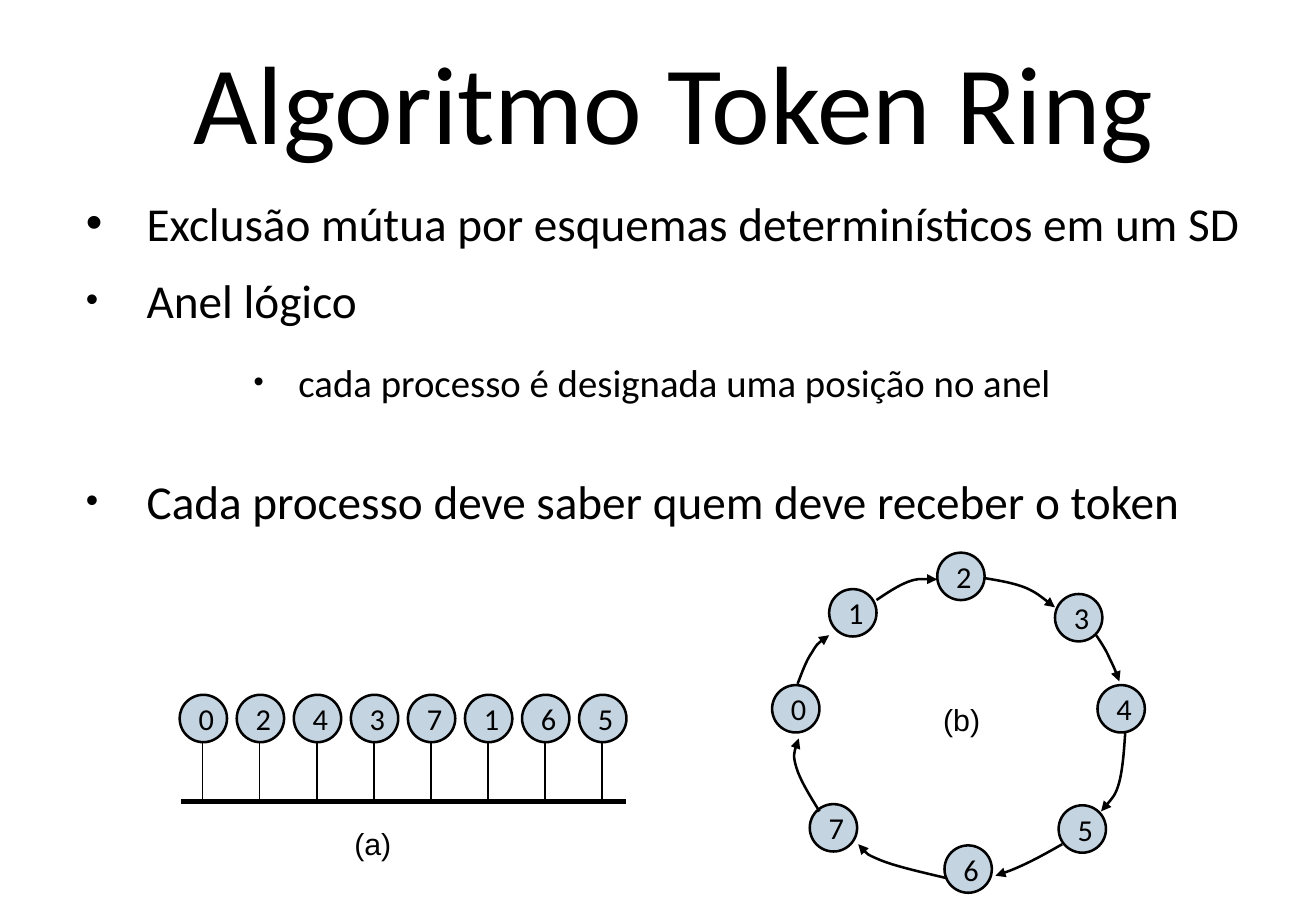
from lxml.etree import SubElement
from pptx import Presentation
from pptx.dml.color import RGBColor
from pptx.enum.shapes import MSO_CONNECTOR, MSO_SHAPE
from pptx.enum.text import MSO_ANCHOR, PP_ALIGN
from pptx.oxml.ns import qn
from pptx.util import Inches, Pt

COLORS = {"ink": "000000", "node": "C5D4E1"}
NODE_SIZE = 0.39
BUS_ORDER = "02437165"
BUS_LEFT, BUS_TOP, BUS_PITCH = 1.48, 5.72, 0.47
BUS_LINE = 6.6
RING_NODES = {
    "0": (6.36, 5.64), "1": (6.83, 4.85), "2": (7.72, 4.55), "3": (8.69, 4.89),
    "4": (9.04, 5.64), "5": (8.72, 6.63), "6": (7.78, 6.96), "7": (6.67, 6.62),
}
RING_ARROWS = [
    [(6.57, 5.63), (6.61, 5.53), (6.64, 5.44), (6.69, 5.37), (6.73, 5.3), (6.78, 5.26), (6.83, 5.23)],
    [(7.22, 4.94), (7.31, 4.88), (7.4, 4.82), (7.48, 4.79), (7.56, 4.76), (7.64, 4.77), (7.72, 4.77)],
    [(8.11, 4.76), (8.23, 4.78), (8.35, 4.8), (8.45, 4.84), (8.54, 4.88), (8.61, 4.94), (8.69, 5)],
    [(9.03, 5.23), (9.07, 5.29), (9.11, 5.35), (9.14, 5.42), (9.17, 5.48), (9.2, 5.55), (9.22, 5.61)],
    [(9.27, 6.02), (9.26, 6.17), (9.25, 6.32), (9.22, 6.44), (9.19, 6.55), (9.13, 6.61), (9.07, 6.68)],
    [(8.75, 6.95), (8.63, 7.02), (8.5, 7.09), (8.41, 7.13), (8.32, 7.17), (8.26, 7.19), (8.2, 7.21)],
    [(7.8, 7.23), (7.59, 7.18), (7.37, 7.13), (7.25, 7.08), (7.13, 7.03), (7.1, 6.99), (7.07, 6.95)],
    [(6.75, 6.68), (6.67, 6.55), (6.59, 6.42), (6.56, 6.32), (6.53, 6.22), (6.55, 6.15), (6.58, 6.08)],
]
BULLETS = [
    ("Exclusão mútua por esquemas determinísticos em um SD", 2, 28, 6, 6, 100),
    ("Anel lógico", 2, 28, 6, 12, 75),
    ("cada processo é designada uma posição no anel", 3, 23, 6, 0, 75),
    ("Cada processo deve saber quem deve receber o token", 2, 28, 40, 12, 75),
]
INDENTS = {2: (0.5, -0.5), 3: (1.75, -0.37)}


def color(name):
    """Return the named colour."""
    return RGBColor.from_string(COLORS[name])


def add_span(para, text, size, font="Calibri"):
    """Add one formatted run to a paragraph."""
    span = para.add_run()
    span.text = text
    span.font.size = Pt(size)
    span.font.name = font
    span.font.color.rgb = color("ink")


def style_line(line, width):
    """Give a line its colour and width."""
    line.color.rgb = color("ink")
    line.width = Pt(width)


def add_box(page, left, top, width, height):
    """Add an empty text box."""
    box = page.shapes.add_textbox(Inches(left), Inches(top), Inches(width), Inches(height))
    box.text_frame.word_wrap = True
    return box


def add_title(page, text):
    """Add the centred title."""
    frame = add_box(page, 0.72, 0.09, 9.66, 1.46).text_frame
    frame.vertical_anchor = MSO_ANCHOR.MIDDLE
    para = frame.paragraphs[0]
    para.alignment = PP_ALIGN.CENTER
    add_span(para, text, 66)


def set_bullet(para, level, percent):
    """Set the indent and bullet of a paragraph."""
    margin, indent = INDENTS[level]
    para.level = level
    properties = para._p.get_or_add_pPr()
    properties.set("marL", str(Inches(margin)))
    properties.set("indent", str(Inches(indent)))
    bullet_color = SubElement(properties, qn("a:buClr"))
    SubElement(bullet_color, qn("a:srgbClr"), val=COLORS["ink"])
    SubElement(properties, qn("a:buSzPct"), val=str(percent * 1000))
    SubElement(properties, qn("a:buFont"), typeface="Arial")
    SubElement(properties, qn("a:buChar"), char="•")


def add_bullets(page):
    """Add the bulleted list."""
    frame = add_box(page, 0.61, 1.55, 9.88, 3.79).text_frame
    for index, (text, level, size, before, after, percent) in enumerate(BULLETS):
        para = frame.add_paragraph() if index else frame.paragraphs[0]
        para.space_before, para.space_after = Pt(before), Pt(after)
        set_bullet(para, level, percent)
        add_span(para, text, size)


def add_node(page, label, left, top):
    """Add a numbered process circle."""
    node = page.shapes.add_shape(
        MSO_SHAPE.OVAL, Inches(left), Inches(top), Inches(NODE_SIZE), Inches(NODE_SIZE))
    node.shadow.inherit = False
    node.fill.solid()
    node.fill.fore_color.rgb = color("node")
    style_line(node.line, 1.5)
    node.text_frame.vertical_anchor = MSO_ANCHOR.MIDDLE
    para = node.text_frame.paragraphs[0]
    para.alignment = PP_ALIGN.CENTER
    add_span(para, label, 18)


def add_line(page, start, end, width):
    """Add a straight line."""
    line = page.shapes.add_connector(MSO_CONNECTOR.STRAIGHT, *map(Inches, start + end))
    style_line(line.line, width)
    SubElement(line._element.spPr, qn("a:effectLst"))


def add_curved_arrow(page, points):
    """Add an arrow of two Bézier curves through seven points."""
    places = [(Inches(x), Inches(y)) for x, y in points]
    builder = page.shapes.build_freeform(*places[0], scale=1.0)
    builder.add_line_segments(places[1:], close=False)
    arrow = builder.convert_to_shape()
    arrow.shadow.inherit = False
    arrow.fill.background()
    style_line(arrow.line, 1.5)
    SubElement(arrow.line._get_or_add_ln(), qn("a:tailEnd"), type="triangle")
    outline = next(arrow._element.iter(qn("a:path")))
    segments = outline.findall(qn("a:lnTo"))
    for first in range(0, len(segments), 3):
        curve = SubElement(outline, qn("a:cubicBezTo"))
        for segment in segments[first:first + 3]:
            curve.append(segment[0])
            outline.remove(segment)


def add_caption(page, text, left, top):
    """Add a one-line diagram caption."""
    frame = add_box(page, left, top, 0.5, 0.4).text_frame
    frame.margin_right = Inches(0)
    add_span(frame.paragraphs[0], text, 18, "Arial")


def add_bus(page):
    """Draw the processes hanging on the shared bus."""
    add_line(page, (1.49, BUS_LINE), (5.16, BUS_LINE), 3)
    for index, label in enumerate(BUS_ORDER):
        left = BUS_LEFT + index * BUS_PITCH
        stem = left + 0.19
        add_node(page, label, left, BUS_TOP)
        add_line(page, (stem, BUS_TOP + NODE_SIZE), (stem, BUS_LINE), 0.79)
    add_caption(page, "(a)", 2.82, 6.74)


def add_ring(page):
    """Draw the logical ring of processes."""
    for label, (left, top) in RING_NODES.items():
        add_node(page, label, left, top)
    for points in RING_ARROWS:
        add_curved_arrow(page, points)
    add_caption(page, "(b)", 7.67, 5.72)


def main():
    """Build and save the slide."""
    deck = Presentation()
    deck.slide_width, deck.slide_height = Inches(10.84), Inches(7.5)
    page = deck.slides.add_slide(deck.slide_layouts[6])
    add_bullets(page)
    add_title(page, "Algoritmo Token Ring")
    add_bus(page)
    add_ring(page)
    deck.save("out.pptx")


if __name__ == "__main__":
    main()
